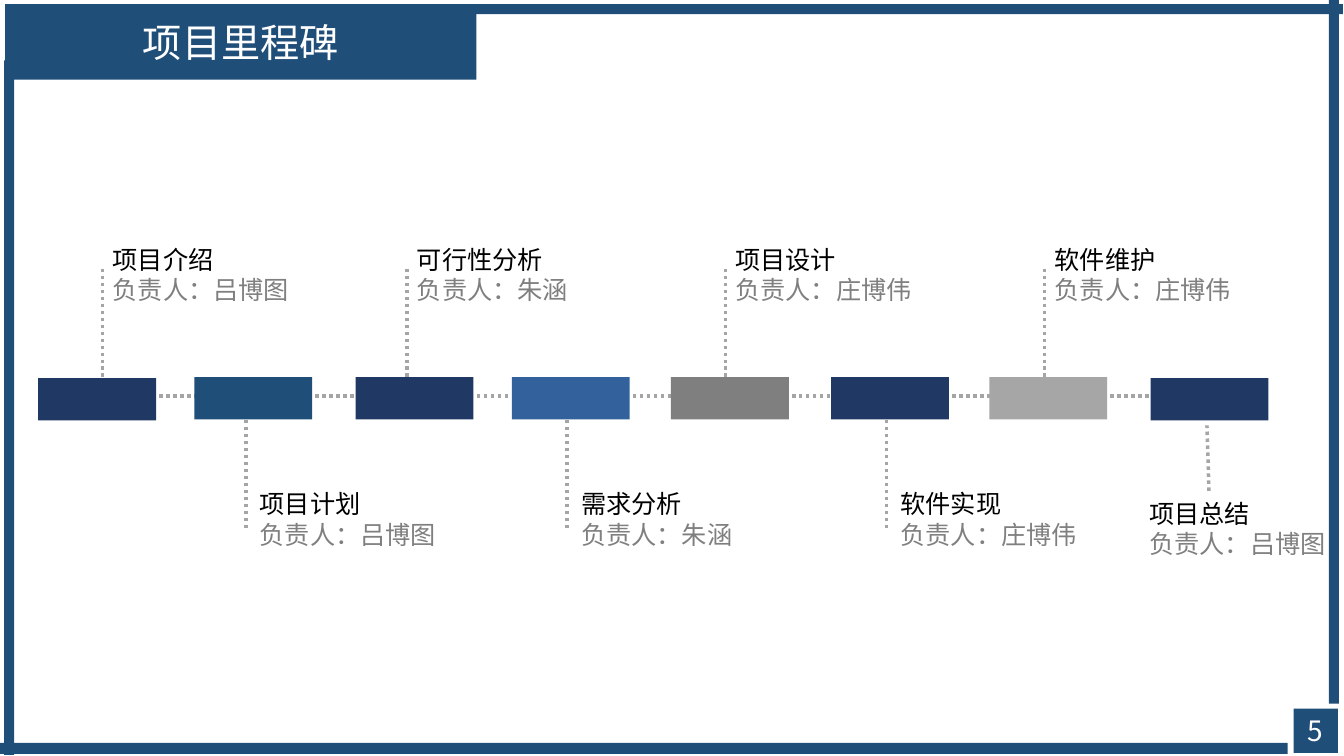
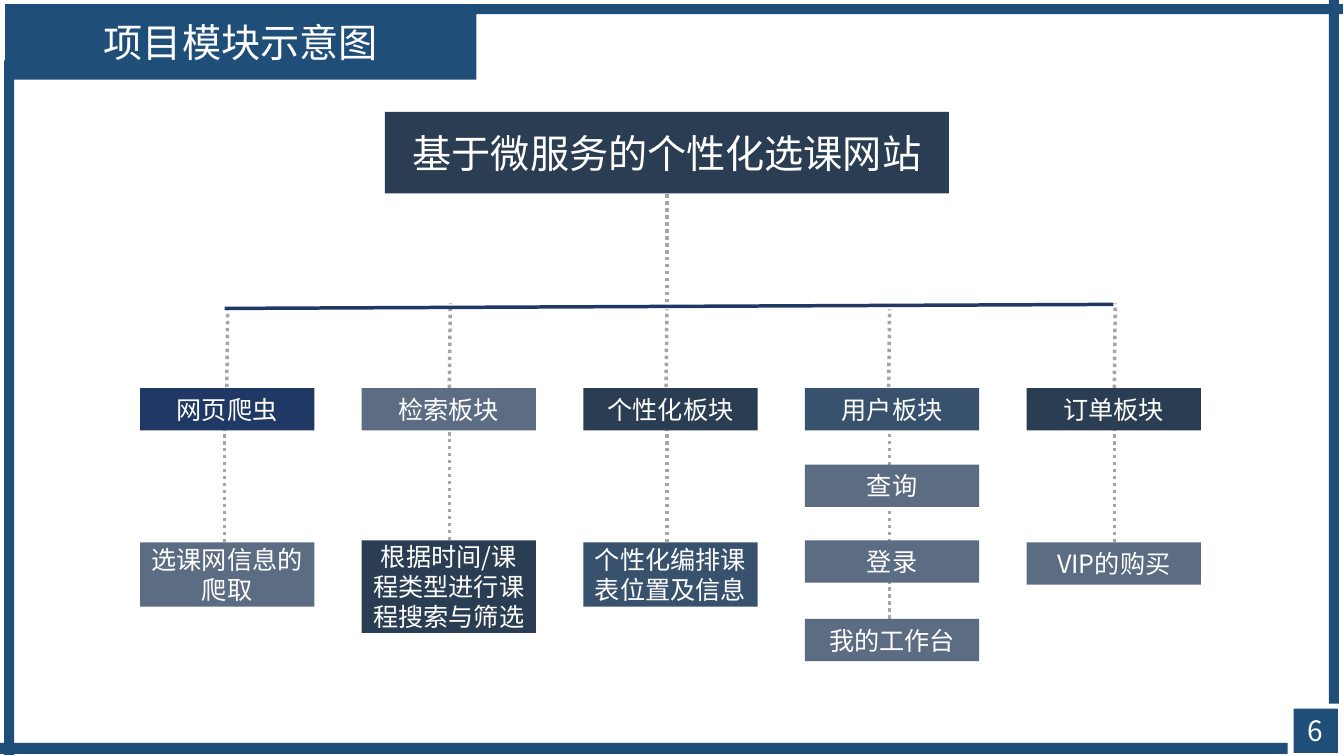
"""Build the project milestone and module diagram slides."""
from dataclasses import dataclass

from lxml import etree
from pptx import Presentation
from pptx import util as u
from pptx.dml.color import RGBColor
from pptx.enum import dml, shapes, text
from pptx.oxml import ns

FONT = "Noto Sans CJK SC"
WHITE = RGBColor(0xFF, 0xFF, 0xFF)
BLACK = RGBColor(0x00, 0x00, 0x00)
BLUE = RGBColor(0x1F, 0x4E, 0x79)
NAVY = RGBColor(0x20, 0x38, 0x64)
AZURE = RGBColor(0x32, 0x61, 0x9C)
GREY = RGBColor(0x7F, 0x7F, 0x7F)
SILVER = RGBColor(0xA6, 0xA6, 0xA6)
DOT_GREY = RGBColor(0xA5, 0xA5, 0xA5)
SLATE = RGBColor(0x5B, 0x6C, 0x83)
INK = RGBColor(0x2A, 0x3D, 0x52)
STEEL = RGBColor(0x38, 0x52, 0x6E)

TITLE_SIZE, PAGE_SIZE, BODY_SIZE = 28, 20, 18
ROW_H = 0.42
SOLID = {"width": u.Pt(2.5)}
DOTTED = SOLID | {"dash_style": dml.MSO_LINE.ROUND_DOT}
CENTRED = {"word_wrap": True, "auto_size": text.MSO_AUTO_SIZE.NONE,
           "vertical_anchor": text.MSO_ANCHOR.MIDDLE}
CAPTION = {"word_wrap": True, "auto_size": text.MSO_AUTO_SIZE.NONE}


@dataclass(frozen=True)
class Box:
    left: float
    top: float
    width: float
    height: float

    def lengths(self) -> list:
        return [u.Inches(v) for v in (self.left, self.top, self.width, self.height)]


@dataclass(frozen=True)
class Milestone:
    name: str
    owner: str
    colour: RGBColor
    left: float
    stem: tuple
    label: tuple
    top: float = 3.74


@dataclass(frozen=True)
class Leaf:
    text: str
    colour: RGBColor
    top: float = 5.38
    height: float = ROW_H


@dataclass(frozen=True)
class Module:
    name: str
    colour: RGBColor
    stub: float
    stub_top: float
    drop: float
    leaves: tuple


BANDS = (Box(0.77, 0.04, 12.56, 0.1), Box(0, 7.37, 12.78, 0.11),
         Box(13.19, 0, 0.1, 6.98), Box(0.04, 0.6, 0.1, 6.89))
TITLE_BOX = Box(0.05, 0.04, 4.68, 0.75)
PAGE_BOX = Box(12.84, 7.03, 0.44, 0.44)


def upper(x: float) -> dict:
    """Place a stem and label above the timeline."""
    return {"stem": (x, 3.74, x, 2.65), "label": (x, 2.37)}


def lower(x: float) -> dict:
    """Place a stem and label below the timeline."""
    return {"stem": (x, 5.24, x, 4.16), "label": (x + 0.04, 4.8)}


MILESTONES = (
    Milestone("项目介绍", "吕博图", NAVY, 0.38, **upper(1.02), top=3.75),
    Milestone("项目计划", "吕博图", BLUE, 1.93, **lower(2.44)),
    Milestone("可行性分析", "朱涵", NAVY, 3.53, **upper(4.04)),
    Milestone("需求分析", "朱涵", AZURE, 5.08, **lower(5.63)),
    Milestone("项目设计", "庄博伟", GREY, 6.66, **upper(7.2)),
    Milestone("软件实现", "庄博伟", NAVY, 8.25, **lower(8.8)),
    Milestone("软件维护", "庄博伟", SILVER, 9.82, **upper(10.37)),
    Milestone("项目总结", "吕博图", NAVY, 11.42, (12, 4.87, 11.98, 4.22), (11.31, 4.89), 3.75),
)

MODULES = (
    Module("网页爬虫", NAVY, 2.26, 3.07, 2.23, (Leaf("选课网信息的爬取", SLATE, height=0.64),)),
    Module("检索板块", SLATE, 4.47, 3.01, 4.46,
           (Leaf("根据时间/课程类型进行课程搜索与筛选", INK, 5.36, 0.92),)),
    Module("个性化板块", INK, 6.62, 3.07, 6.62,
           (Leaf("个性化编排课表位置及信息", STEEL, height=0.64),)),
    Module("用户板块", STEEL, 8.83, 3.07, 8.83,
           (Leaf("查询", SLATE, 4.61), Leaf("登录", SLATE, 5.36), Leaf("我的工作台", SLATE, 6.14))),
    Module("订单板块", INK, 11.07, 3.01, 11.06, (Leaf("VIP的购买", SLATE),)),
)


def apply(target, values: dict) -> None:
    """Set each named attribute on the target."""
    for name, value in values.items():
        setattr(target, name, value)


def write(p, words: str, size: int, colour: RGBColor, align=text.PP_ALIGN.LEFT) -> None:
    """Write one formatted run into a paragraph."""
    p.alignment = align
    r = p.add_run()
    r.text = words
    apply(r.font, {"name": FONT, "size": u.Pt(size), "bold": False})
    r.font.color.rgb = colour
    etree.SubElement(r.font._element, ns.qn("a:ea")).set("typeface", FONT)


def fill_box(sp, colour: RGBColor, words: str = "", size: int = BODY_SIZE) -> None:
    """Paint a shape and centre white text in it."""
    sp.fill.solid()
    sp.fill.fore_color.rgb = colour
    sp.line.fill.background()
    if words:
        apply(sp.text_frame, CENTRED)
        write(sp.text_frame.paragraphs[0], words, size, WHITE, text.PP_ALIGN.CENTER)


def add_box(s, box: Box, colour: RGBColor, words: str = "", size: int = BODY_SIZE):
    """Add a flat rectangle with optional text."""
    sp = s.shapes.add_shape(shapes.MSO_SHAPE.RECTANGLE, *box.lengths())
    sp.shadow.inherit = False
    fill_box(sp, colour, words, size)
    return sp


def add_line(s, ends: tuple, colour: RGBColor = DOT_GREY, style: dict = DOTTED) -> None:
    """Add a straight line between two points."""
    ln = s.shapes.add_connector(shapes.MSO_CONNECTOR.STRAIGHT, *map(u.Inches, ends))
    ln.line.color.rgb = colour
    apply(ln.line, style)
    etree.SubElement(ln._element.spPr, ns.qn("a:effectLst"))


def add_slide(prs, title: str, page: int):
    """Add a slide with the shared frame, title and page number."""
    s = prs.slides.add_slide(prs.slide_layouts[5])
    for band in BANDS:
        add_box(s, band, BLUE)
    sp = s.shapes.title
    apply(sp, dict(zip(("left", "top", "width", "height"), TITLE_BOX.lengths())))
    fill_box(sp, BLUE, title, TITLE_SIZE)
    number = add_box(s, PAGE_BOX, BLUE, str(page), PAGE_SIZE)
    apply(number.text_frame, dict.fromkeys(
        ("margin_left", "margin_right", "margin_top", "margin_bottom"), 0))
    return s


def draw_milestones(s) -> None:
    """Draw the timeline with its labels."""
    for m in MILESTONES[:-1]:
        add_line(s, (m.left + 1.86, 3.93, m.left + 0.94, 3.93))
    for m in MILESTONES:
        add_box(s, Box(m.left, m.top, 1.17, ROW_H), m.colour)
        add_line(s, m.stem)
        tf = s.shapes.add_textbox(*Box(*m.label, 2, 0.7).lengths()).text_frame
        apply(tf, CAPTION)
        write(tf.paragraphs[0], m.name, BODY_SIZE, BLACK)
        write(tf.add_paragraph(), f"负责人：{m.owner}", BODY_SIZE, GREY)


def draw_modules(s) -> None:
    """Draw the module tree."""
    first_left, pitch, width, top = 1.39, 2.2, 1.73, 3.85
    add_line(s, (6.62, 3, 6.62, 1.91))
    add_box(s, Box(3.82, 1.11, 5.6, 0.81), INK, "基于微服务的个性化选课网站", TITLE_SIZE)
    for i, m in enumerate(MODULES):
        left = first_left + i * pitch
        add_line(s, (m.stub - 0.01, m.stub_top + 0.84, m.stub, m.stub_top))
        add_line(s, (m.drop, m.leaves[-1].top, m.drop, top + ROW_H))
        add_box(s, Box(left, top, width, ROW_H), m.colour, m.name)
        for leaf in m.leaves:
            add_box(s, Box(left, leaf.top, width, leaf.height), leaf.colour, leaf.text)
    add_line(s, (2.23, 3.06, 11.05, 3.02), NAVY, SOLID)


def main() -> None:
    """Build and save the presentation."""
    prs = Presentation()
    apply(prs, {"slide_width": u.Inches(13.34), "slide_height": u.Inches(7.5)})
    draw_milestones(add_slide(prs, "项目里程碑", 5))
    draw_modules(add_slide(prs, "项目模块示意图", 6))
    prs.save("out.pptx")


if __name__ == "__main__":
    main()
